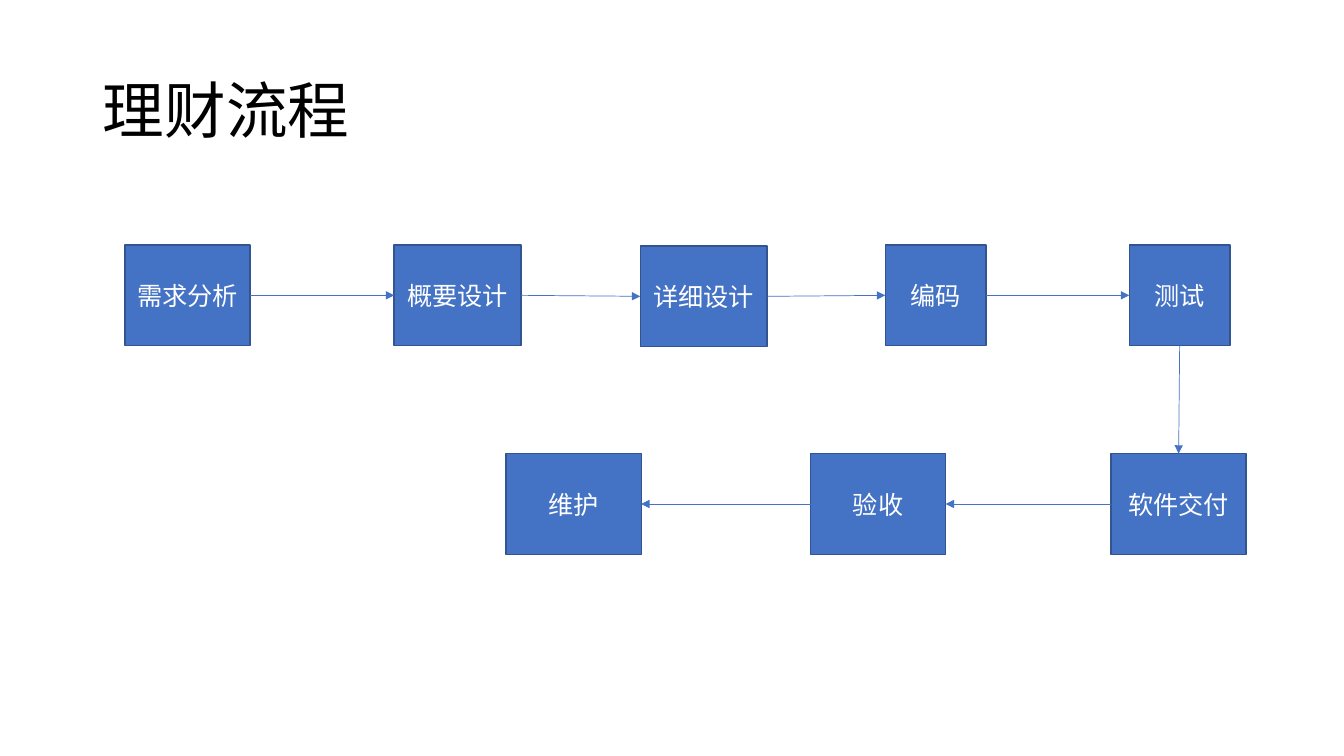
import pptx
import pptx.util
import pptx.dml.color
import pptx.enum.shapes
import pptx.enum.text
import pptx.oxml
import pptx.oxml.ns

Inches = pptx.util.Inches
Pt = pptx.util.Pt
ALIGN = pptx.enum.text.PP_ALIGN
MIDDLE = pptx.enum.text.MSO_ANCHOR.MIDDLE

FONT = "Noto Sans CJK SC"
BLUE, EDGE, WHITE, BLACK = "4472C4", "325491", "FFFFFF", "000000"

# Connection sites of a rectangle
TOP, LEFT, BOTTOM, RIGHT = range(4)

# Steps in order: text, left, top, width, then exit and entry site of the next arrow
STEPS = [
    ("需求分析", 1.24, 2.43, 1.24, RIGHT, LEFT),
    ("概要设计", 3.91, 2.43, 1.26, RIGHT, LEFT),
    ("详细设计", 6.35, 2.44, 1.26, RIGHT, LEFT),
    ("编码", 8.78, 2.43, 1, RIGHT, LEFT),
    ("测试", 11.2, 2.43, 1, BOTTOM, TOP),
    ("软件交付", 11.02, 4.5, 1.34, LEFT, RIGHT),
    ("验收", 8.04, 4.5, 1.34, LEFT, RIGHT),
    ("维护", 5.02, 4.5, 1.34, None, None),
]


def paint(target, color):
    target.rgb = pptx.dml.color.RGBColor.from_string(color)


def add_mark(parent, tag, **values):
    mark = pptx.oxml.parse_xml(f"<{tag} {pptx.oxml.ns.nsdecls('a')}/>")
    for key, value in values.items():
        mark.set(key, value)
    parent.append(mark)


def set_all(target, values):
    for key, value in values.items():
        setattr(target, key, value)


def write(frame, text, size, color, format):
    set_all(frame, {"text": text, "word_wrap": True, "vertical_anchor": MIDDLE})
    line = frame.paragraphs[0]
    set_all(line, format)
    run = line.runs[0]
    set_all(run.font, {"name": FONT, "size": Pt(size)})
    paint(run.font.color, color)
    add_mark(run.font._element, "a:ea", typeface=FONT)


def add_title(slide, text):
    title = slide.shapes.title
    set_all(title, {"left": Inches(0.92), "top": Inches(0.4),
                    "width": Inches(11.5), "height": Inches(1.45)})
    write(title.text_frame, text, 44, BLACK,
          {"alignment": ALIGN.LEFT, "line_spacing": 0.9})


def add_box(slide, text, left, top, width):
    box = slide.shapes.add_shape(
        pptx.enum.shapes.MSO_SHAPE.RECTANGLE,
        Inches(left), Inches(top), Inches(width), Inches(1))
    box.shadow.inherit = False
    box.fill.solid()
    paint(box.fill.fore_color, BLUE)
    paint(box.line.color, EDGE)
    box.line.width = Pt(1)
    write(box.text_frame, text, 18, WHITE, {"alignment": ALIGN.CENTER})
    return box


def add_arrow(slide, start, leave, end, enter):
    arrow = slide.shapes.add_connector(
        pptx.enum.shapes.MSO_CONNECTOR.STRAIGHT, 0, 0, 0, 0)
    arrow.begin_connect(start, leave)
    arrow.end_connect(end, enter)
    paint(arrow.line.color, BLUE)
    arrow.line.width = Pt(0.5)
    add_mark(arrow.line._get_or_add_ln(), "a:tailEnd", type="triangle")
    add_mark(arrow._element.spPr, "a:effectLst")


def main():
    deck = pptx.Presentation()
    set_all(deck, {"slide_width": Inches(13.33), "slide_height": Inches(7.5)})
    slide = deck.slides.add_slide(deck.slide_layouts[5])
    add_title(slide, "理财流程")

    # Flow boxes, then an arrow from each to the next
    boxes = [add_box(slide, *step[:4]) for step in STEPS]
    for step, start, end in zip(STEPS, boxes, boxes[1:]):
        leave, enter = step[4:]
        add_arrow(slide, start, leave, end, enter)

    deck.save("out.pptx")


if __name__ == "__main__":
    main()
